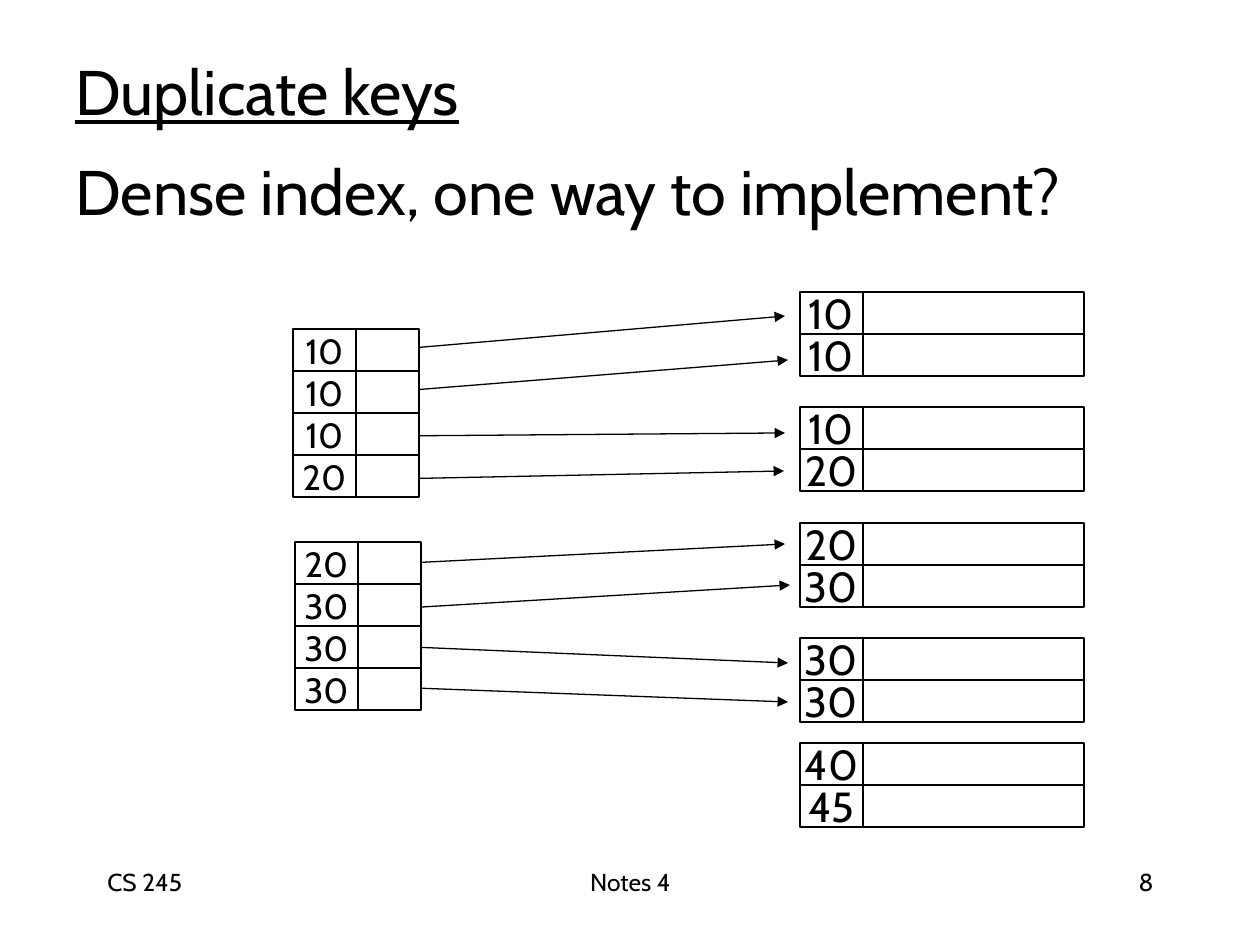
from lxml import etree
from pptx import Presentation
from pptx.dml.color import RGBColor
from pptx.enum.shapes import MSO_CONNECTOR, MSO_SHAPE
from pptx.enum.text import MSO_ANCHOR, PP_ALIGN
from pptx.oxml.ns import qn
from pptx.util import Pt

SCALE = 914400 / 126
FONT = "Cabin"
BLACK, WHITE = "000000", "FFFFFF"
RECTANGLE, STRAIGHT = MSO_SHAPE.RECTANGLE, MSO_CONNECTOR.STRAIGHT
TOP, MIDDLE = MSO_ANCHOR.TOP, MSO_ANCHOR.MIDDLE
LEFT, CENTER, RIGHT = PP_ALIGN.LEFT, PP_ALIGN.CENTER, PP_ALIGN.RIGHT
ROW_HEIGHT, KEY_WIDTH = 42, 63

INDEX_BLOCKS = [
    (293, 329, ["10", "10", "10", "20"]),
    (295, 542, ["20", "30", "30", "30"]),
]
DATA_BLOCKS = [
    (292, ["10", "10"]),
    (407, ["10", "20"]),
    (523, ["20", "30"]),
    (638, ["30", "30"]),
    (743, ["40", "45"]),
]
POINTERS = [
    ((389, 350), (785, 316)),
    ((388, 392), (788, 360)),
    ((388, 436), (785, 433)),
    ((389, 479), (784, 471)),
    ((389, 564), (785, 544)),
    ((389, 609), (790, 585)),
    ((388, 646), (788, 663)),
    ((388, 687), (788, 702)),
]


def px(*lengths):
    """Turn pixel lengths into EMU."""
    return [round(length * SCALE) for length in lengths]


def color(value):
    """Return the colour for a hex string."""
    return RGBColor.from_string(value)


def write(shape, text, size, align, anchor, wrap, underline=None):
    """Put one styled paragraph into a shape."""
    frame = shape.text_frame
    frame.text = text
    frame.word_wrap = wrap
    frame.vertical_anchor = anchor
    para = frame.paragraphs[0]
    para.alignment = align
    font = para.runs[0].font
    font.name, font.size, font.underline = FONT, Pt(size), underline
    font.color.rgb = color(BLACK)


def add_label(page, box, text, size, align=LEFT, anchor=TOP, underline=None):
    """Add a wrapped text box."""
    label = page.shapes.add_textbox(*px(*box))
    write(label, text, size, align, anchor, True, underline)


def add_cell(shapes, box, text="", size=20):
    """Add a white outlined cell, with a key if one is given."""
    cell = shapes.add_shape(RECTANGLE, *px(*box))
    cell.shadow.inherit = False
    cell.fill.solid()
    cell.fill.fore_color.rgb = color(WHITE)
    cell.line.color.rgb = color(BLACK)
    cell.line.width = Pt(0.75)
    if text:
        write(cell, text, size, CENTER, MIDDLE, False)


def add_block(shapes, left, top, keys, value_width, size):
    """Add a stack of rows, each a key cell and an empty cell."""
    for row, key in enumerate(keys):
        y = top + row * ROW_HEIGHT
        add_cell(shapes, (left, y, KEY_WIDTH, ROW_HEIGHT), key, size)
        add_cell(shapes, (left + KEY_WIDTH, y, value_width, ROW_HEIGHT))


def add_pointer(page, start, end):
    """Add a thin arrow from an index row to a record."""
    arrow = page.shapes.add_connector(STRAIGHT, *px(*start, *end))
    arrow.line.color.rgb = color(BLACK)
    arrow.line.width = Pt(0.75)
    outline = arrow.line._get_or_add_ln()
    etree.SubElement(outline, qn("a:tailEnd"), type="triangle")
    etree.SubElement(arrow._element.spPr, qn("a:effectLst"))


def add_diagram(page):
    """Add the pointers, the data blocks and the index blocks."""
    for start, end in POINTERS:
        add_pointer(page, start, end)
    for top, keys in DATA_BLOCKS:
        group = page.shapes.add_group_shape()
        add_block(group.shapes, 800, top, keys, 221, 24)
    for left, top, keys in INDEX_BLOCKS:
        add_block(page.shapes, left, top, keys, KEY_WIDTH, 20)


def add_headings(page):
    """Add the title and the underlined topic above it."""
    add_label(page, (63, 126, 1092, 128), "Dense index, one way to implement?",
              36, anchor=MIDDLE)
    add_label(page, (63, 42, 462, 97), "Duplicate keys", 36,
              anchor=MIDDLE, underline=True)


def add_footer(page, top, height):
    """Add the course, the notes name and the page number."""
    add_label(page, (431, top, 399, height), "Notes 4", 14, CENTER)
    add_label(page, (903, top, 263, height), "8", 14, RIGHT)
    add_label(page, (95, top, 263, height), "CS 245", 14)


def main():
    """Build and save the deck."""
    deck = Presentation()
    deck.slide_width, deck.slide_height = px(1260, 945)
    page = deck.slides.add_slide(deck.slide_layouts[6])
    add_diagram(page)
    add_headings(page)
    add_footer(page, 861, 63)
    deck.save("out.pptx")


if __name__ == "__main__":
    main()
